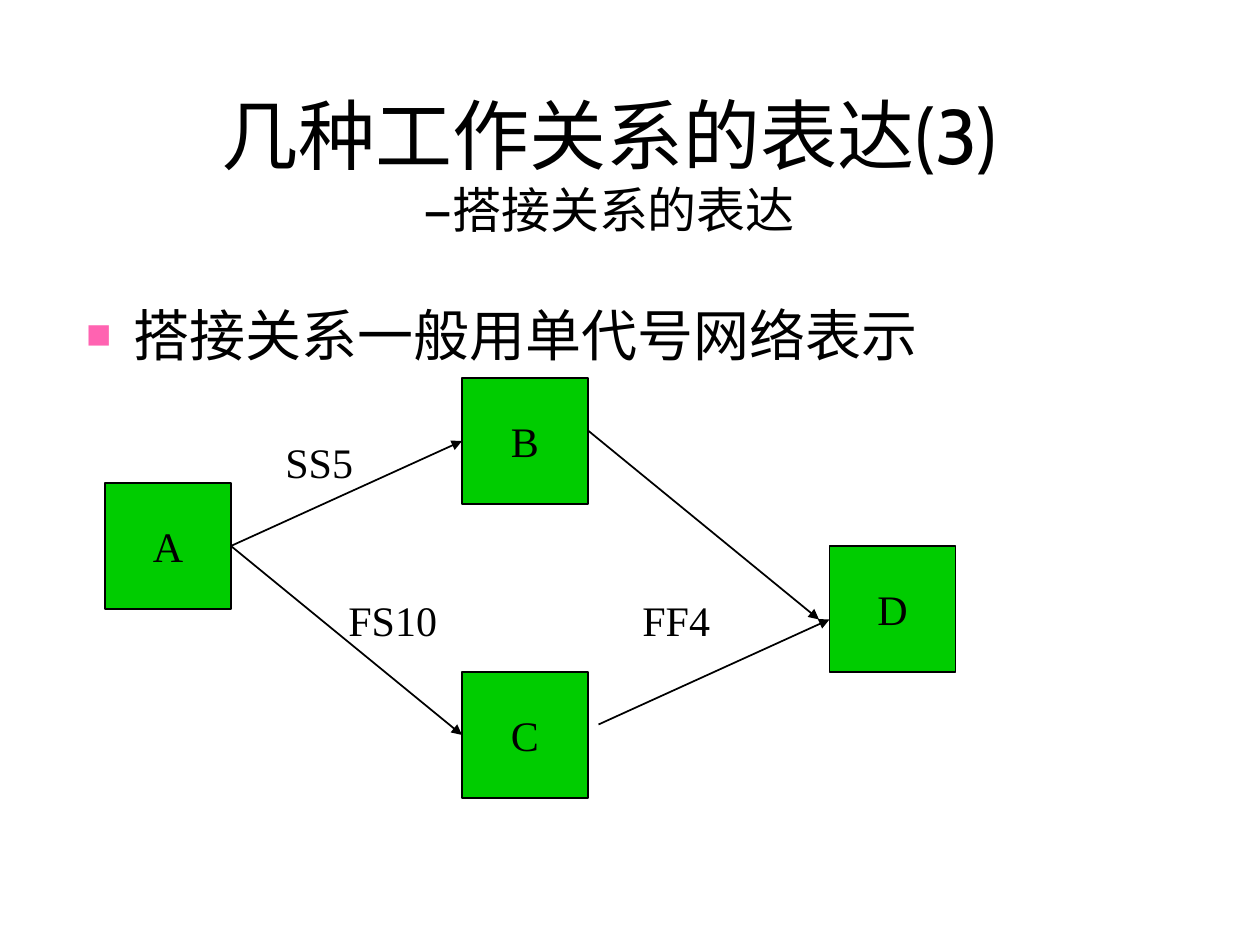
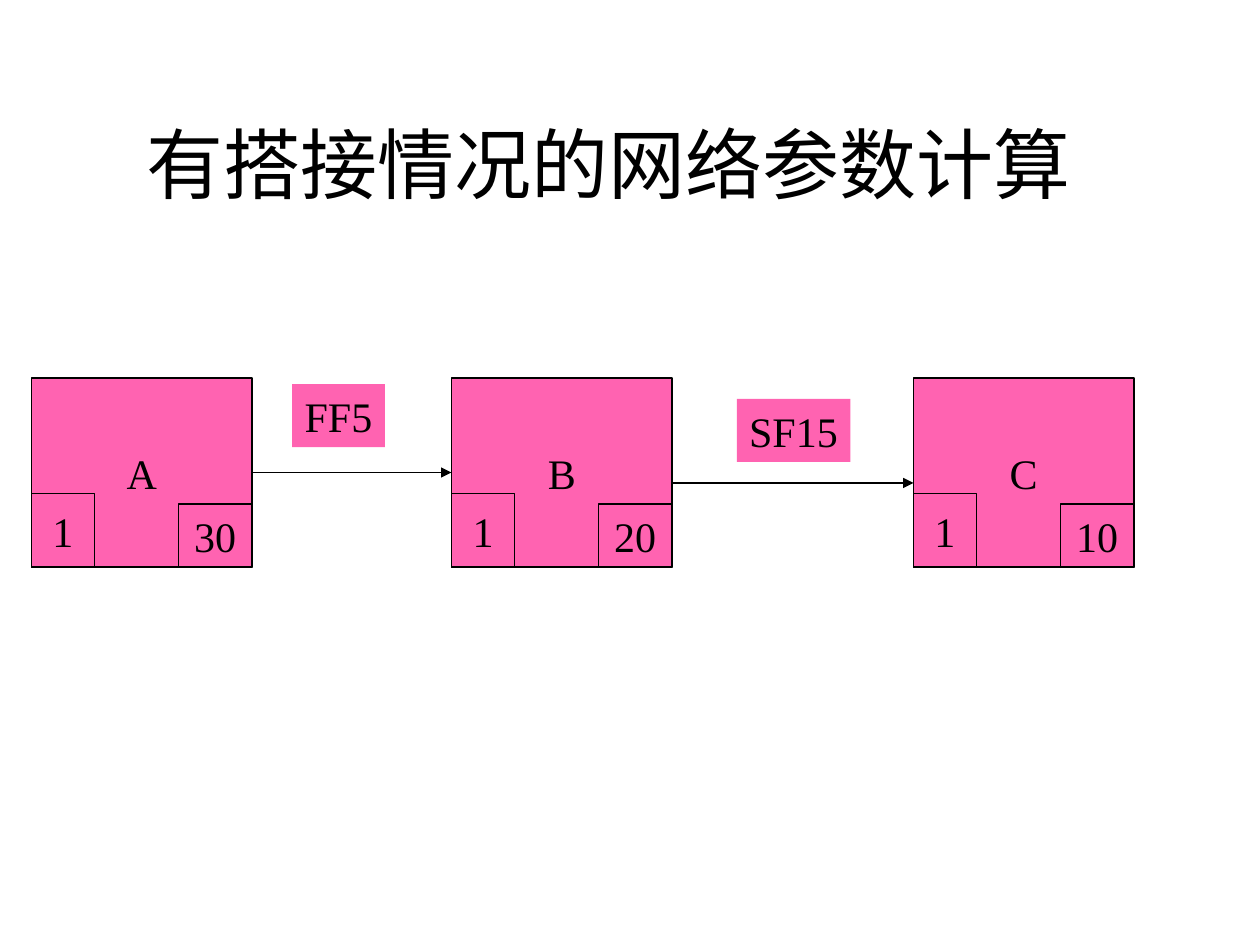
import pptx
import pptx.dml.color
import pptx.enum.shapes
import pptx.enum.text
import pptx.oxml
import pptx.oxml.ns
import pptx.util

Pt = pptx.util.Pt
align = pptx.enum.text.PP_ALIGN
anchor = pptx.enum.text.MSO_ANCHOR
fit = pptx.enum.text.MSO_AUTO_SIZE
rectangle = pptx.enum.shapes.MSO_SHAPE.RECTANGLE
straight = pptx.enum.shapes.MSO_CONNECTOR.STRAIGHT
black, green, pink = "000000", "00CC00", "FF63B1"
title_frame = {"vertical_anchor": anchor.MIDDLE, "word_wrap": True, "auto_size": fit.NONE}
body_frame = title_frame | {"vertical_anchor": anchor.TOP}
node_frame = title_frame | {"word_wrap": False}
label_frame = body_frame | {"auto_size": fit.SHAPE_TO_FIT_TEXT}
tag_frame = label_frame | {"word_wrap": False}


def paint(fill, colour):
    fill.solid()
    fill.fore_color.rgb = pptx.dml.color.RGBColor.from_string(colour)


def write(box, lines, font_name, alignment, frame_format):
    for name, value in frame_format.items():
        setattr(box.text_frame, name, value)
    para = box.text_frame.paragraphs[0]
    for name, value in {"alignment": alignment, "space_before": Pt(0)}.items():
        setattr(para, name, value)
    for number, (text, size) in enumerate(lines):
        if number:
            para.add_line_break()
        span = para.add_run()
        span.text = text
        for name, value in {"name": font_name, "size": Pt(size)}.items():
            setattr(span.font, name, value)
        paint(span.font.fill, black)
    return para


deck = pptx.Presentation()
deck.slide_width, deck.slide_height = Pt(720), Pt(540)
relations = deck.slides.add_slide(deck.slide_layouts[1])
parameters = deck.slides.add_slide(deck.slide_layouts[5])

titles = [
    (relations, [("几种工作关系的表达(3)", 44), ("—搭接关系的表达", 28)]),
    (parameters, [("有搭接情况的网络参数计算", 44)]),
]
for page, lines in titles:
    title = page.shapes.title
    title.left, title.top, title.width, title.height = Pt(42), Pt(48), Pt(612), Pt(90)
    write(title, lines, "Cabin", align.CENTER, title_frame)

body = relations.placeholders[1]
body.left, body.top, body.width, body.height = Pt(42), Pt(168), Pt(612), Pt(47)
para = write(body, [("搭接关系一般用单代号网络表示", 32)], "Cabin", align.LEFT, body_frame)
properties = para._p.get_or_add_pPr()
properties.set("marL", str(Pt(27)))
properties.set("indent", str(Pt(-27)))
namespace = pptx.oxml.ns.nsdecls("a")
for bullet in (
    f'<a:buClr {namespace}><a:srgbClr val="{pink}"/></a:buClr>',
    f'<a:buSzPct {namespace} val="75000"/>',
    f'<a:buChar {namespace} char="■"/>',
):
    properties.append(pptx.oxml.parse_xml(bullet))

nodes = [
    (relations, text, left, top, 72, 72, green)
    for text, left, top in [("A", 60, 276), ("B", 264, 216), ("C", 264, 384), ("D", 474, 312)]
]
for activity, duration, left in [("A", "30", 18), ("B", "20", 258), ("C", "10", 522)]:
    nodes += [
        (parameters, activity, left, 216, 126, 108, pink),
        (parameters, "1", left, 282, 36, 42, pink),
        (parameters, duration, left + 84, 288, 42, 36, pink),
    ]
for page, text, left, top, width, height, colour in nodes:
    node = page.shapes.add_shape(rectangle, Pt(left), Pt(top), Pt(width), Pt(height))
    node.shadow.inherit = False
    paint(node.fill, colour)
    paint(node.line.fill, black)
    node.line.width = Pt(1)
    write(node, [(text, 24)], "Times New Roman", align.CENTER, node_frame)

arrows = [
    (relations, 132, 312, 264, 252),
    (relations, 132, 312, 264, 420),
    (relations, 336, 246, 468, 354),
    (relations, 342, 414, 474, 354),
    (parameters, 144, 270, 258, 270),
    (parameters, 384, 276, 522, 276),
]
for page, *ends in arrows:
    arrow = page.shapes.add_connector(straight, *map(Pt, ends))
    paint(arrow.line.fill, black)
    arrow.line.width = Pt(1)
    arrow.line._get_or_add_ln().append(
        pptx.oxml.parse_xml(f'<a:tailEnd {namespace} type="triangle"/>')
    )
    arrow._element.spPr.append(pptx.oxml.parse_xml(f"<a:effectLst {namespace}/>"))

for text, left, top in [("SS5", 156, 246), ("FS10", 192, 336), ("FF4", 360, 336)]:
    label = relations.shapes.add_textbox(Pt(left), Pt(top), Pt(72), Pt(36))
    write(label, [(text, 24)], "Times New Roman", align.LEFT, label_frame)

for text, left, top, width in [("FF5", 167, 219.5, 53), ("SF15", 421, 228, 65)]:
    tag = parameters.shapes.add_shape(rectangle, Pt(left), Pt(top), Pt(width), Pt(36))
    tag.shadow.inherit = False
    paint(tag.fill, pink)
    tag.line.fill.background()
    write(tag, [(text, 24)], "Times New Roman", align.LEFT, tag_frame)

deck.save("out.pptx")
